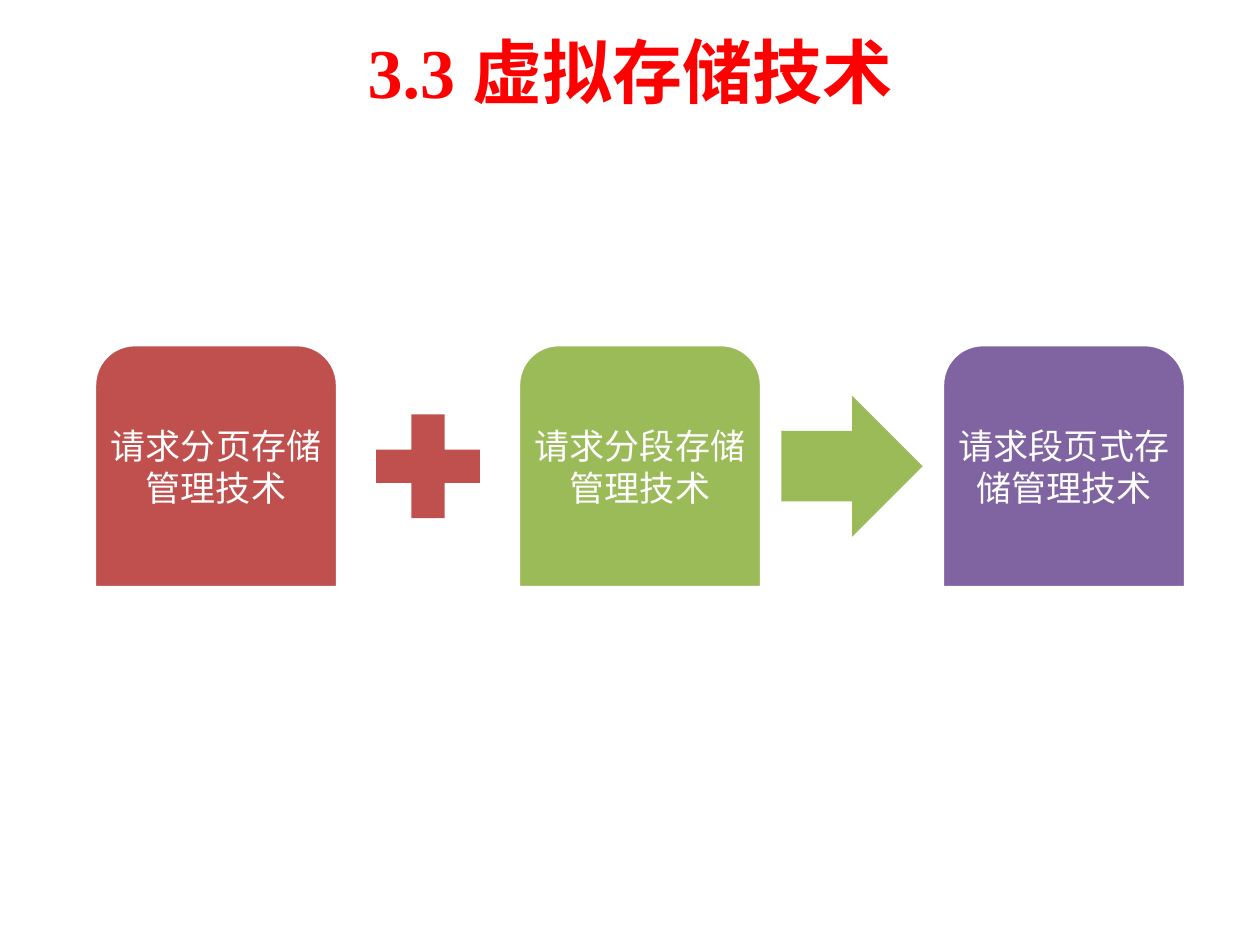
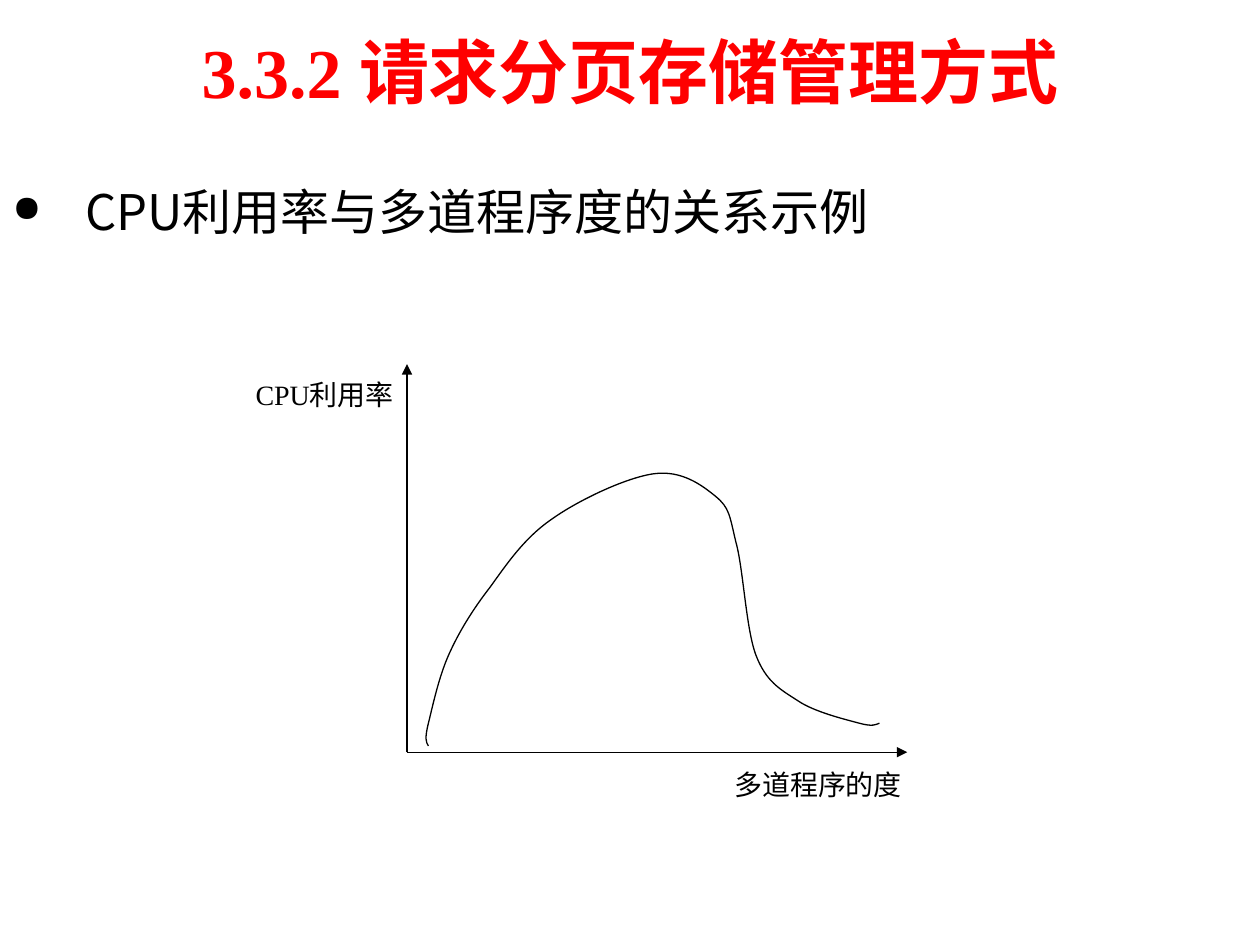
from dataclasses import dataclass

from lxml.etree import SubElement
from pptx import Presentation
from pptx.dml.color import RGBColor
from pptx.enum.shapes import MSO_CONNECTOR, MSO_SHAPE
from pptx.enum.text import MSO_ANCHOR, MSO_AUTO_SIZE, PP_ALIGN
from pptx.oxml.ns import qn
from pptx.presentation import Presentation as Deck
from pptx.shapes.autoshape import Shape
from pptx.slide import Slide
from pptx.text.text import TextFrame
from pptx.util import Inches, Pt


@dataclass(frozen=True)
class Theme:
    red: str = "FE0000"
    brick: str = "C0504D"
    green: str = "9BBB59"
    violet: str = "8064A2"
    white: str = "FFFFFF"
    black: str = "000000"
    serif: str = "Times New Roman"
    sans: str = "Calibri"
    hei: str = "Noto Sans CJK SC"
    title: int = 40
    body: int = 28
    tile: int = 20
    label: int = 16
    thin: float = 0.75
    edge: float = 2


@dataclass(frozen=True)
class Box:
    left: float
    top: float
    width: float
    height: float

    def place(self) -> tuple:
        return tuple(map(Inches, (self.left, self.top, self.width, self.height)))


@dataclass(frozen=True)
class Tile:
    text: str
    color: str


@dataclass(frozen=True)
class Sign:
    kind: MSO_SHAPE
    color: str


@dataclass(frozen=True)
class Label:
    text: str
    left: float
    top: float


THEME = Theme()
TITLE = Box(0, 0.05, 10, 1.02)

TILES = [
    Tile("请求分页存储管理技术", THEME.brick),
    Tile("请求分段存储管理技术", THEME.green),
    Tile("请求段页式存储管理技术", THEME.violet),
]
SIGNS = [
    Sign(MSO_SHAPE.MATH_PLUS, THEME.brick),
    Sign(MSO_SHAPE.RIGHT_ARROW, THEME.green),
]
START, END, MIDDLE = 0.75, 7.48, 3.7
PITCH = (END - START) / (len(TILES) - 1)
TILE_SIDE, SIGN_SIDE = 1.93, 1.12

ORIGIN = (3.23, 5.97)
AXIS_ENDS = [(7.2, 5.97), (3.23, 2.89)]
LABELS = [Label("多道程序的度", 5.73, 6.04), Label("CPU利用率", 1.93, 2.95)]

# Bezier knots, each pair of them with two control points between
CURVE = [
    (3.4, 5.92), (3.38, 5.89), (3.37, 5.86),
    (3.4, 5.74), (3.43, 5.62), (3.48, 5.38),
    (3.56, 5.2), (3.64, 5.02), (3.75, 4.84),
    (3.89, 4.66), (4.02, 4.48), (4.16, 4.27),
    (4.38, 4.12), (4.59, 3.97), (4.97, 3.79),
    (5.19, 3.76), (5.41, 3.73), (5.57, 3.85),
    (5.68, 3.94), (5.79, 4.03), (5.79, 4.09),
    (5.84, 4.3), (5.9, 4.51), (5.92, 4.99),
    (6, 5.2), (6.08, 5.41), (6.19, 5.47),
    (6.33, 5.56), (6.46, 5.65), (6.71, 5.71),
    (6.82, 5.74), (6.93, 5.77), (6.95, 5.75),
    (6.98, 5.74),
]


def write(frame: TextFrame, text: str, *, size: int, font: str, color: str,
          east: str = THEME.sans, bold: bool = False,
          align: PP_ALIGN = PP_ALIGN.LEFT, anchor: MSO_ANCHOR = MSO_ANCHOR.TOP,
          inset: float | None = None, bullet: str = "",
          indent: float = 0) -> None:
    frame.word_wrap = True
    frame.auto_size = MSO_AUTO_SIZE.NONE
    frame.vertical_anchor = anchor
    if inset is not None:
        frame.margin_left = frame.margin_right = Inches(inset)
        frame.margin_top = frame.margin_bottom = Inches(inset)
    para = frame.paragraphs[0]
    para.alignment = align
    run = para.add_run()
    run.text = text
    run.font.size = Pt(size)
    run.font.name = font
    run.font.bold = bold
    run.font.color.rgb = RGBColor.from_string(color)
    SubElement(run.font._element, qn("a:ea"), typeface=east)
    if bullet:
        props = para._p.get_or_add_pPr()
        props.set("marL", str(Inches(indent)))
        props.set("indent", str(-Inches(indent)))
        SubElement(props, qn("a:buSzPct"), val="75000")
        SubElement(props, qn("a:buChar"), char=bullet)


def add_text(slide: Slide, box: Box, text: str, **style) -> None:
    write(slide.shapes.add_textbox(*box.place()).text_frame, text, **style)


def add_slide(deck: Deck, title: str) -> Slide:
    slide = deck.slides.add_slide(deck.slide_layouts[5])
    head = slide.shapes.title
    head.left, head.top, head.width, head.height = TITLE.place()
    write(head.text_frame, title, size=THEME.title, font=THEME.serif,
          color=THEME.red, bold=True, align=PP_ALIGN.CENTER,
          anchor=MSO_ANCHOR.MIDDLE)
    return slide


def add_solid(slide: Slide, kind: MSO_SHAPE, box: Box, color: str) -> Shape:
    shape = slide.shapes.add_shape(kind, *box.place())
    shape.shadow.inherit = False
    shape.fill.solid()
    shape.fill.fore_color.rgb = RGBColor.from_string(color)
    shape.line.fill.background()
    return shape


def square(left: float, side: float) -> Box:
    """Square box centred on the row of tiles."""
    return Box(left, MIDDLE - side / 2, side, side)


def add_tile(slide: Slide, tile: Tile, box: Box) -> None:
    shape = add_solid(slide, MSO_SHAPE.ROUND_2_SAME_RECTANGLE, box, tile.color)
    shape.line.color.rgb = RGBColor.from_string(THEME.white)
    shape.line.width = Pt(THEME.edge)
    add_text(slide, box, tile.text, size=THEME.tile, font=THEME.sans,
             color=THEME.white, align=PP_ALIGN.CENTER,
             anchor=MSO_ANCHOR.MIDDLE, inset=0.03)


def add_axis(slide: Slide, end: tuple[float, float]) -> None:
    axis = slide.shapes.add_connector(
        MSO_CONNECTOR.STRAIGHT, *map(Inches, ORIGIN + end))
    axis.line.color.rgb = RGBColor.from_string(THEME.black)
    axis.line.width = Pt(THEME.thin)
    props = axis._element.spPr
    SubElement(props.find(qn("a:ln")), qn("a:tailEnd"), type="triangle")
    SubElement(props, qn("a:effectLst"))


def bend(shape: Shape) -> None:
    """Turn each three line segments of a freeform into one Bezier segment."""
    route = shape._element.find(".//" + qn("a:path"))
    lines = route.findall(qn("a:lnTo"))
    for i in range(0, len(lines), 3):
        arc = SubElement(route, qn("a:cubicBezTo"))
        for line in lines[i:i + 3]:
            arc.append(line[0])
            route.remove(line)


def add_curve(slide: Slide) -> None:
    first, *rest = [(Inches(x), Inches(y)) for x, y in CURVE]
    pen = slide.shapes.build_freeform(*first)
    pen.add_line_segments(rest, close=False)
    curve = pen.convert_to_shape()
    bend(curve)
    curve.shadow.inherit = False
    curve.fill.background()
    curve.line.color.rgb = RGBColor.from_string(THEME.black)
    curve.line.width = Pt(THEME.thin)


def add_sum(deck: Deck) -> None:
    """Slide with two techniques that add up to a third."""
    slide = add_slide(deck, "3.3 虚拟存储技术")
    for i, tile in enumerate(TILES):
        add_tile(slide, tile, square(START + i * PITCH, TILE_SIDE))
    gap = (PITCH + TILE_SIDE - SIGN_SIDE) / 2
    for i, sign in enumerate(SIGNS):
        box = square(START + i * PITCH + gap, SIGN_SIDE)
        add_solid(slide, sign.kind, box, sign.color)


def add_graph(deck: Deck) -> None:
    """Slide with the curve of CPU use."""
    slide = add_slide(deck, "3.3.2 请求分页存储管理方式")
    add_text(slide, Box(0, 1.39, 9.61, 5.35), "CPU利用率与多道程序度的关系示例",
             size=THEME.body, font=THEME.hei, east=THEME.hei,
             color=THEME.black, bullet="●", indent=0.58)
    for end in AXIS_ENDS:
        add_axis(slide, end)
    add_curve(slide)
    for label in LABELS:
        add_text(slide, Box(label.left, label.top, 1.55, 0.54), label.text,
                 size=THEME.label, font=THEME.serif, color=THEME.black,
                 align=PP_ALIGN.JUSTIFY)


def main() -> None:
    deck = Presentation()
    deck.slide_width, deck.slide_height = Inches(10), Inches(7.5)
    add_sum(deck)
    add_graph(deck)
    deck.save("out.pptx")


if __name__ == "__main__":
    main()
